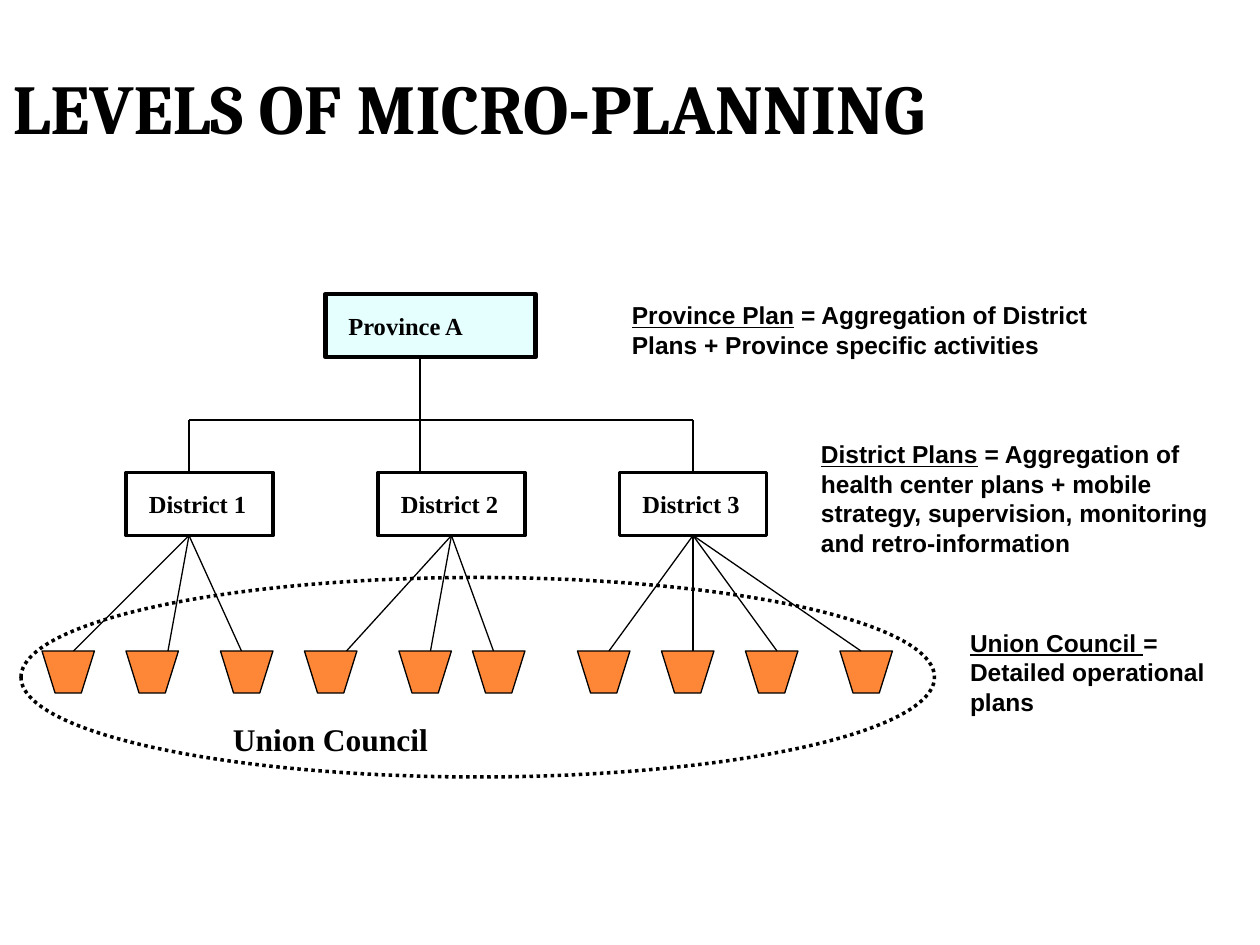
from dataclasses import dataclass

from lxml.etree import SubElement
from pptx import Presentation
from pptx.dml.color import RGBColor as RGB
from pptx.enum.dml import MSO_LINE_DASH_STYLE as Dash
from pptx.enum.shapes import MSO_CONNECTOR as Wire, MSO_SHAPE as Kind
from pptx.enum.text import MSO_ANCHOR as Anchor, PP_ALIGN as Align
from pptx.oxml.ns import qn
from pptx.util import Inches, Pt

COLS, ROWS = 120, 90


@dataclass(frozen=True)
class Theme:
    ink: RGB = RGB(0, 0, 0)
    aqua: RGB = RGB(0xCC, 0xFF, 0xFF)
    cup: RGB = RGB(0xFE, 0x86, 0x37)
    head: str = "Cambria"
    serif: str = "Times New Roman"
    sans: str = "Arial"
    big: int = 40
    mid: int = 18
    small: int = 14
    thin: float = 0.75
    bold: float = 2
    heavy: float = 2.75


T = Theme()
deck = Presentation()
deck.slide_width, deck.slide_height = Inches(10), Inches(7.5)
slide = deck.slides.add_slide(deck.slide_layouts[5])
items = slide.shapes


def cell(*nums):
    """Turn grid units into slide lengths; columns and rows are square."""
    return [int(n * deck.slide_width / COLS) for n in nums]


def write(frame, text, under="", font=T.serif, size=T.small, anchor=Anchor.TOP):
    """Fill a frame with bold text, led by an optional underlined part."""
    frame.word_wrap = True
    frame.vertical_anchor = anchor
    para = frame.paragraphs[0]
    para.alignment = Align.LEFT
    for part, line in ((under, True), (text, False)):
        if part:
            run = para.add_run()
            run.text = part
            run.font.name, run.font.size = font, Pt(size)
            run.font.bold, run.font.underline = True, line
            run.font.color.rgb = T.ink


def label(box, text, **style):
    write(items.add_textbox(*cell(*box)).text_frame, text, **style)


def dress(shape, fill=None, width=T.thin):
    shape.shadow.inherit = False
    if fill is None:
        shape.fill.background()
    else:
        shape.fill.solid()
        shape.fill.fore_color.rgb = fill
    shape.line.color.rgb = T.ink
    shape.line.width = Pt(width)
    return shape


def wire(x1, y1, x2, y2):
    line = items.add_connector(Wire.STRAIGHT, *cell(x1, y1, x2, y2))
    line.line.color.rgb = T.ink
    line.line.width = Pt(T.thin)
    SubElement(line._element.spPr, qn("a:effectLst"))


def cup(x, y, w, h):
    slope = w / 4
    points = [(x, y), (x + slope, y + h), (x + w - slope, y + h), (x + w, y)]
    start, *rest = [cell(*point) for point in points]
    form = items.build_freeform(*start)
    form.add_line_segments(rest, close=True)
    dress(form.convert_to_shape(), T.cup)


def title(box, text):
    head = items.title
    head.left, head.top, head.width, head.height = cell(*box)
    write(head.text_frame, text, font=T.head, size=T.big, anchor=Anchor.BOTTOM)


def province(box, text):
    x, y, w, h = box
    shape = dress(items.add_shape(Kind.RECTANGLE, *cell(*box)), T.aqua, T.heavy)
    tint = shape._element.spPr.find(qn("a:solidFill"))[0]
    SubElement(tint, qn("a:alpha"), val="50000")
    label((x + 1, y + 1, w - 2, h - 2), text)


def tree(top, bar, foot, stem, hubs):
    """Join the province to its districts."""
    wire(stem, top, stem, foot)
    wire(hubs[0], bar, hubs[-1], bar)
    for hub in (hubs[0], hubs[-1]):
        wire(hub, bar, hub, foot)


def district(box, text, hub, cups, ends):
    """Draw a district with its cups and the lines that fan out to them."""
    x, y, w, h = box
    base, rim = y + h, y + h + 11
    dress(items.add_shape(Kind.RECTANGLE, *cell(*box)), width=T.bold)
    for left in cups:
        cup(left, rim, 5, 4)
    for end in ends:
        wire(hub, base, end, rim)
    label((x + 1, y + 1, w - 2, h - 2), text)


def council(box, text):
    x, y, w, h = box
    ring = dress(items.add_shape(Kind.OVAL, *cell(*box)), width=T.bold)
    ring.line.dash_style = Dash.ROUND_DOT
    label((x + 19, y + 13, 24, 5), text, size=T.mid)


def notes(rows):
    for box, under, text in rows:
        label(box, text, under=under, font=T.sans)


areas = [
    (12, 18, (4, 12, 21), (7, 16, 23)),
    (36, 43, (29, 38, 45), (33, 41, 47)),
    (59, 66, (55, 63, 71, 80), (58, 66, 74, 82)),
]
title((0, 5, COLS, 9.75), "LEVELS OF MICRO-PLANNING")
province((31, 28, 20, 6), "Province A")
tree(34, 40, 45, 40, [area[1] for area in areas])
for num, (left, hub, cups, ends) in enumerate(areas, 1):
    district((left, 45, 14, 6), f"District {num}", hub, cups, ends)
council((2, 55, 87, 19), "Union Council")
notes([
    ((59, 28, 46, 6.8), "Province Plan",
     " = Aggregation of District Plans + Province specific activities"),
    ((77, 41.25, 40, 12.5), "District Plans",
     " = Aggregation of health center plans + mobile strategy, "
     "supervision, monitoring and retro-information"),
    ((91.2, 59.2, 28, 9.6), "Union Council ", "= Detailed operational plans"),
])
deck.save("out.pptx")
